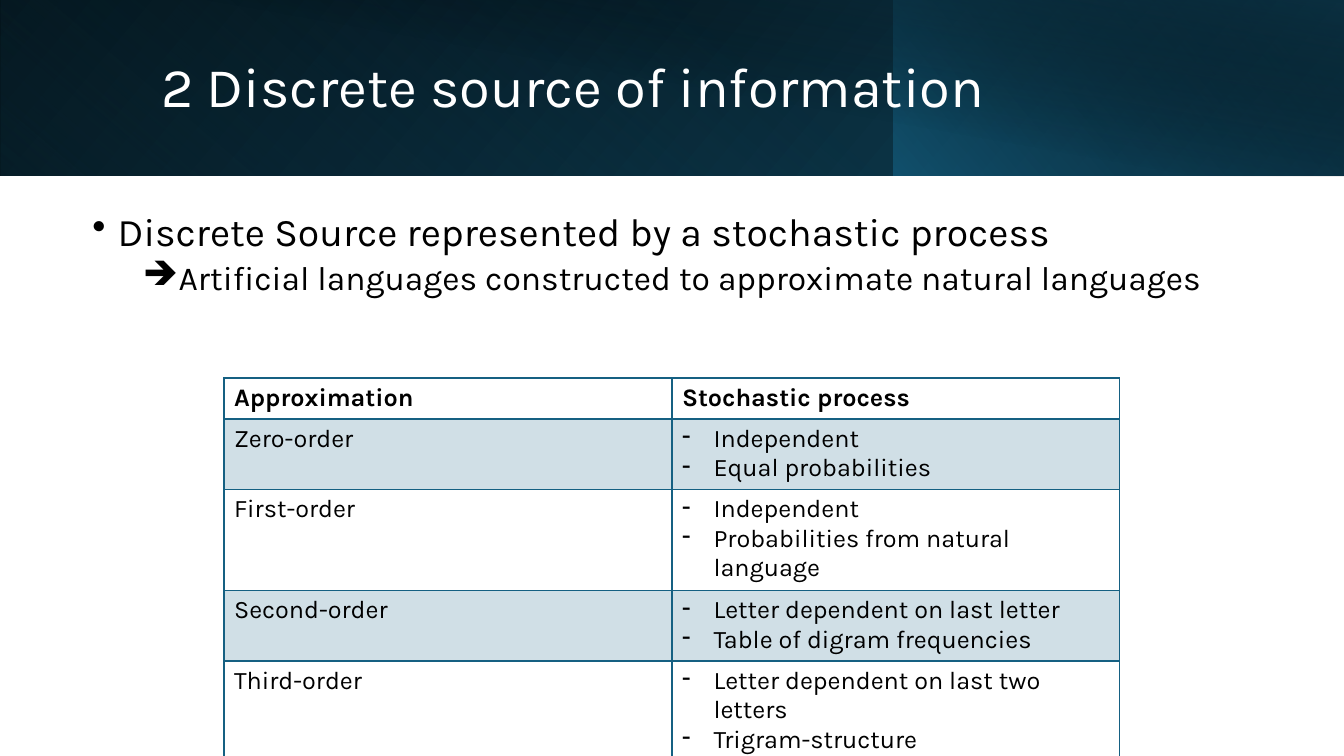
import pptx
import pptx.util
import pptx.oxml
import pptx.dml.color
import pptx.enum.shapes
import pptx.enum.text

Pt = pptx.util.Pt
NS = 'xmlns:a="http://schemas.openxmlformats.org/drawingml/2006/main"'
TEAL = "156082"


def style(para, size, color="000000", bold=False):
    for span in para.runs:
        span.font.name = "Karla"
        span.font.size = Pt(size)
        span.font.bold = bold
        span.font.color.rgb = pptx.dml.color.RGBColor.from_string(color)


def add_bullet(para, mark, left, hang):
    """Give the paragraph a bullet mark that hangs left of its text, in points."""
    props = para._p.get_or_add_pPr()
    props.set("marL", str(Pt(left)))
    props.set("indent", str(-Pt(hang)))
    props.append(pptx.oxml.parse_xml(f'<a:buChar {NS} char="{mark}"/>'))


deck = pptx.Presentation()
deck.slide_width = Pt(960)
deck.slide_height = Pt(540)
page = deck.slides.add_slide(deck.slide_layouts[6])

# Header bands: left, width, height, rotation, flipped, angle, stops (position, colour, opacity)
bands = [
    (0, 960, 125.3, 0, True, 140, [(0, "000000", 100), (100, "104862", 100)]),
    (0, 639, 125.3, 180, True, 230, [(20, TEAL, 0), (100, "0B3041", 55)]),
    (638.6, 321.4, 125.3, 0, True, 220, [(0, TEAL, 66), (100, "000000", 30)]),
    (36, 924, 126, 0, False, 280, [(50, "000000", 0), (99, "0B3041", 52)]),
]
for left, width, height, rotation, flipped, angle, stops in bands:
    band = page.shapes.add_shape(
        pptx.enum.shapes.MSO_SHAPE.RECTANGLE, Pt(left), 0, Pt(width), Pt(height))
    band.shadow.inherit = False
    band.line.fill.background()
    band.rotation = rotation
    props = band._element.spPr
    if flipped:
        props.xfrm.set("flipH", "1")
    stop_xml = "".join(
        f'<a:gs pos="{place * 1000}"><a:srgbClr val="{color}">'
        f'<a:alpha val="{opacity * 1000}"/></a:srgbClr></a:gs>'
        for place, color, opacity in stops)
    props.insert(2, pptx.oxml.parse_xml(
        f'<a:gradFill {NS} rotWithShape="1"><a:gsLst>{stop_xml}</a:gsLst>'
        f'<a:lin ang="{angle * 60000}" scaled="0"/></a:gradFill>'))

title = page.shapes.add_textbox(Pt(108), Pt(23), Pt(779), Pt(81.4)).text_frame
title.word_wrap = True
title.vertical_anchor = pptx.enum.text.MSO_ANCHOR.MIDDLE
title.text = "2 Discrete source of information"
title.paragraphs[0].line_spacing = 0.9
style(title.paragraphs[0], 40, "FFFFFF")

body = page.shapes.add_textbox(Pt(59), Pt(148.3), Pt(828), Pt(342.7)).text_frame
body.word_wrap = True
points = [
    ("Discrete Source represented by a stochastic process", 28, "•", 18, 10),
    ("Artificial languages constructed to approximate natural languages", 24, "➔", 54, 5),
]
body.text = "\n".join(point[0] for point in points)
for level, (para, point) in enumerate(zip(body.paragraphs, points)):
    wording, size, mark, left, before = point
    para.level = level
    para.line_spacing = 0.9
    para.space_before = Pt(before)
    add_bullet(para, mark, left, 18)
    style(para, size)

rows = [
    ("Approximation", "Stochastic process"),
    ("Zero-order", "Independent\nEqual probabilities"),
    ("First-order", "Independent\nProbabilities from natural language"),
    ("Second-order", "Letter dependent on last letter\nTable of digram frequencies"),
    ("Third-order", "Letter dependent on last two letters\nTrigram-structure"),
]
table = page.shapes.add_table(len(rows), 2, Pt(160), Pt(270), Pt(640), Pt(160)).table
table.first_row = False
table.horz_banding = False
for row, height in zip(table.rows, [29.2, 29.2, 43.8, 29.2, 29.2]):
    row.height = Pt(height)

for r, wordings in enumerate(rows):
    for c, wording in enumerate(wordings):
        cell = table.cell(r, c)
        cell.text = wording
        for para in cell.text_frame.paragraphs:
            if r > 0 and c == 1:
                add_bullet(para, "-", 22.5, 22.5)
            style(para, 18, bold=r == 0)

        props = cell._tc.get_or_add_tcPr()
        if r % 2:
            cell.fill.solid()
            cell.fill.fore_color.rgb = pptx.dml.color.RGBColor.from_string(TEAL)
            props[0][0].append(pptx.oxml.parse_xml(f'<a:alpha {NS} val="20000"/>'))
        else:
            cell.fill.background()
        for place, side in enumerate(["lnL", "lnR", "lnT", "lnB"]):
            under_header = (r, side) in [(0, "lnB"), (1, "lnT")]
            props.insert(place, pptx.oxml.parse_xml(
                f'<a:{side} {NS} w="{Pt(2 if under_header else 1)}"><a:solidFill>'
                f'<a:srgbClr val="{TEAL}"/></a:solidFill></a:{side}>'))

deck.save("out.pptx")
